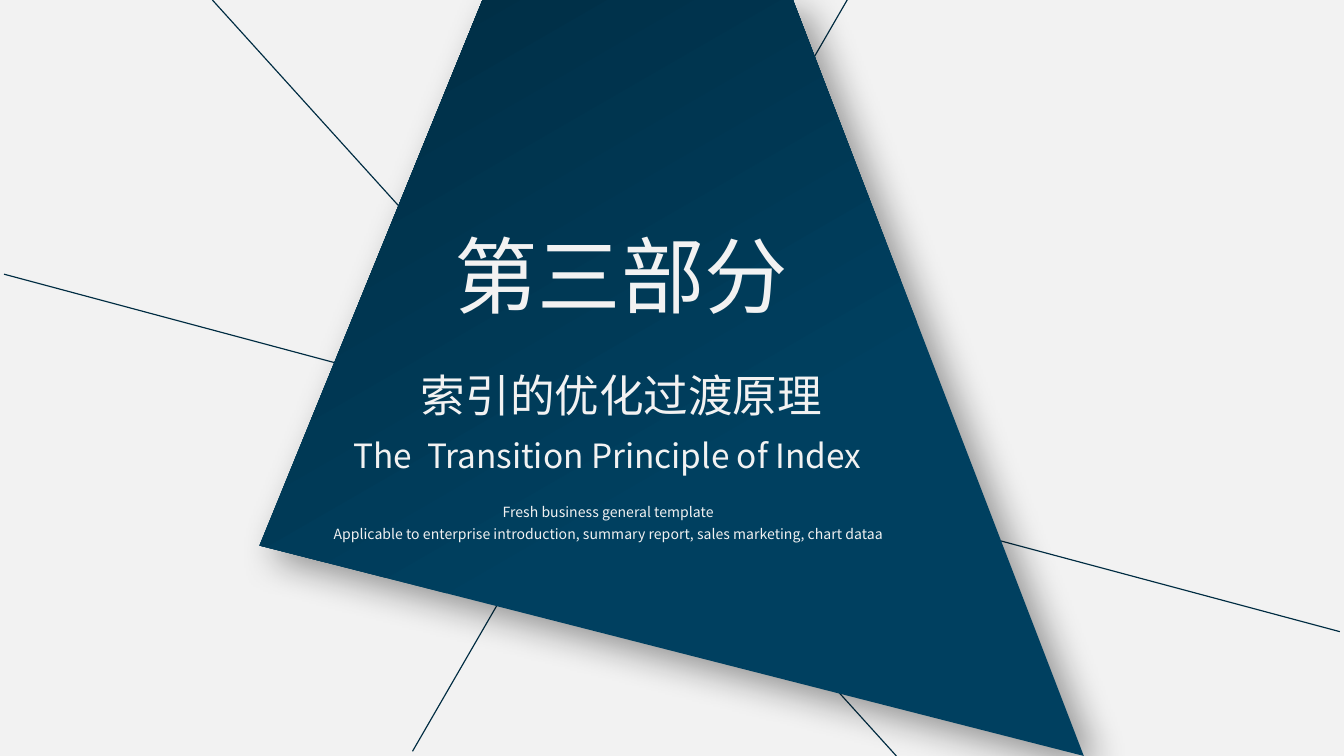
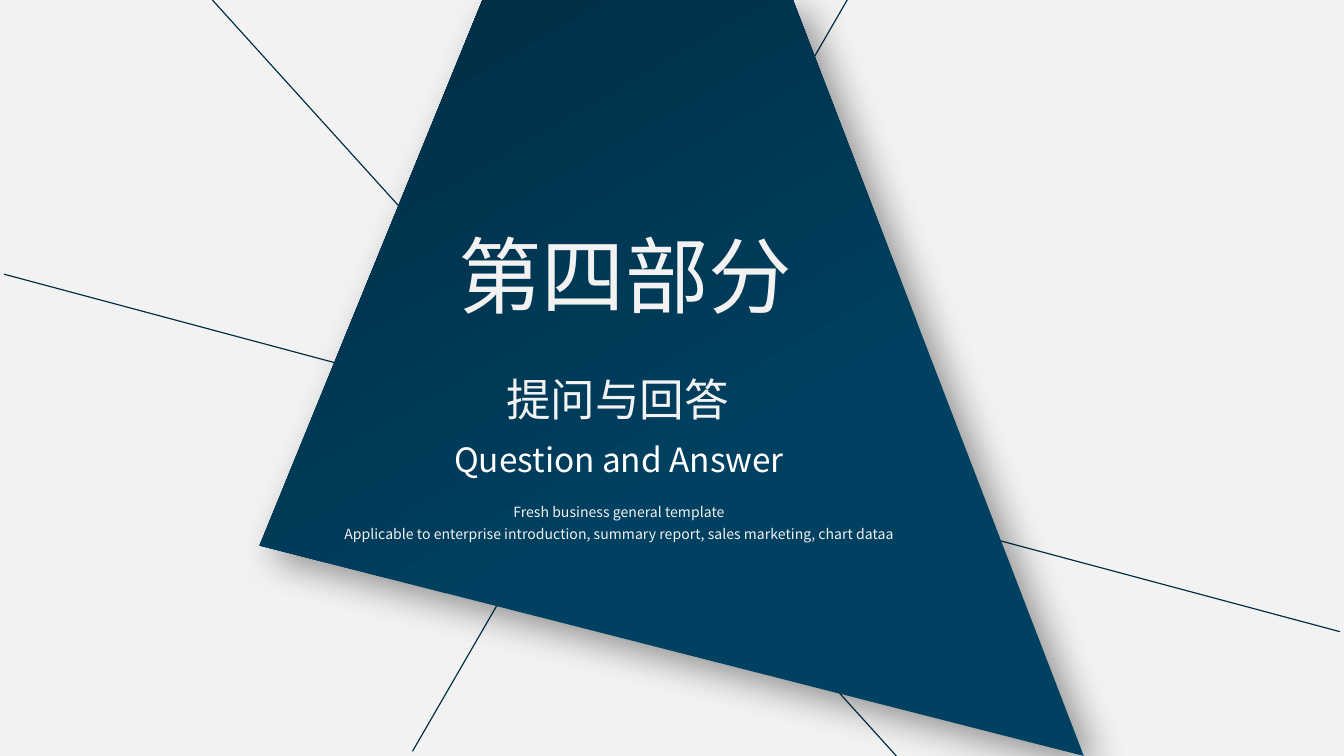
import pptx
import pptx.util
import pptx.dml.color
import pptx.enum.shapes
import pptx.enum.text
import pptx.oxml
import pptx.oxml.ns
import lxml.etree

Pt = pptx.util.Pt
PAPER = pptx.dml.color.RGBColor(0xF2, 0xF2, 0xF2)
WHITE = pptx.dml.color.RGBColor(0xFF, 0xFF, 0xFF)
NAVY = pptx.dml.color.RGBColor(0x00, 0x2C, 0x42)
BLUE = pptx.dml.color.RGBColor(0x00, 0x40, 0x60)
FONT = "Noto Sans CJK SC"
WIDTH, HEIGHT = 720, 405
CENTER = pptx.enum.text.PP_ALIGN.CENTER
LEFT = pptx.enum.text.PP_ALIGN.LEFT

RAYS = [
    ((460.1, -10.8), (221, 402.5)),
    ((480.2, HEIGHT), (113.8, 0)),
    ((2.2, 146.9), (717.8, 338.4)),
]
PANEL = [(258.5, 0), (424.8, 0), (580.6, HEIGHT), (139, 292.3)]
TAGLINE = [
    "Fresh business general template",
    "Applicable to enterprise introduction, summary report, sales marketing, chart dataa",
]
SECTIONS = [
    {
        "number": ("第三部分", (235.4, 116.6, 195.1, 61.2)),
        "tagline": (105.1, 263.5, 441.4, 31),
        "english": ("The  Transition Principle of Index", (178.6, 229.7, 293.8, 28.8), PAPER, CENTER),
        "title": ("索引的优化过渡原理", (213.8, 193.7, 238.3, 36)),
    },
    {
        "number": ("第四部分", (237.6, 116.6, 195.1, 61.2)),
        "tagline": (110.9, 263.5, 441.4, 31),
        "english": ("Question and Answer", (236.2, 231.8, 198, 28.8), WHITE, LEFT),
        "title": ("提问与回答", (226.8, 195.8, 208.1, 36)),
    },
]


def add_effects(shape, shadow=None):
    effects = shape._element.spPr.get_or_add_effectLst() if hasattr(
        shape._element.spPr, "get_or_add_effectLst") else lxml.etree.SubElement(
        shape._element.spPr, pptx.oxml.ns.qn("a:effectLst"))
    if shadow:
        blur, distance, angle, opacity = shadow
        outer = lxml.etree.SubElement(
            effects, pptx.oxml.ns.qn("a:outerShdw"),
            blurRad=str(Pt(blur)), dist=str(Pt(distance)),
            dir=str(angle * 60000), algn="tl", rotWithShape="0")
        color = lxml.etree.SubElement(outer, pptx.oxml.ns.qn("a:srgbClr"), val="000000")
        lxml.etree.SubElement(color, pptx.oxml.ns.qn("a:alpha"), val=str(opacity * 1000))


def add_ray(page, start, end):
    ray = page.shapes.add_connector(
        pptx.enum.shapes.MSO_CONNECTOR.STRAIGHT,
        *(Pt(value) for value in start + end))
    ray.line.color.rgb = NAVY
    ray.line.width = Pt(0.63)
    add_effects(ray)


def add_panel(page, corners):
    builder = page.shapes.build_freeform(
        Pt(corners[0][0]), Pt(corners[0][1]), scale=1.0)
    builder.add_line_segments([(Pt(x), Pt(y)) for x, y in corners[1:]], close=True)
    panel = builder.convert_to_shape()
    panel.line.fill.background()
    panel.fill.gradient()
    panel.fill.gradient_angle = 120
    for stop, (position, color) in zip(panel.fill.gradient_stops, [(0.39, BLUE), (1, NAVY)]):
        stop.position = position
        stop.color.rgb = color
    add_effects(panel, shadow=(20, 10, 45, 40))


def add_text(page, box, lines, size, color=PAPER, align=CENTER, wrap=True, spacing=None):
    frame = page.shapes.add_textbox(*(Pt(value) for value in box)).text_frame
    frame.word_wrap = wrap
    frame.auto_size = pptx.enum.text.MSO_AUTO_SIZE.SHAPE_TO_FIT_TEXT
    frame.text = "\n".join(lines)
    for para in frame.paragraphs:
        para.alignment = align
        para.line_spacing = spacing
        para.font.size = Pt(size)
        para.font.name = FONT
        para.font.color.rgb = color
        east_asian = lxml.etree.SubElement(
            para.font._element, pptx.oxml.ns.qn("a:ea"))
        east_asian.set("typeface", FONT)


def add_section(deck, section):
    page = deck.slides.add_slide(deck.slide_layouts[6])
    page.background.fill.solid()
    page.background.fill.fore_color.rgb = PAPER
    for start, end in RAYS:
        add_ray(page, start, end)
    add_panel(page, PANEL)
    number, box = section["number"]
    add_text(page, box, [number], 44.7, wrap=False)
    add_text(page, section["tagline"], TAGLINE, 7.5, spacing=1.3)
    english, box, color, align = section["english"]
    add_text(page, box, [english], 17.9, color, align, wrap=False)
    title, box = section["title"]
    add_text(page, box, [title], 23.9)


deck = pptx.Presentation()
deck.slide_width, deck.slide_height = Pt(WIDTH), Pt(HEIGHT)
for section in SECTIONS:
    add_section(deck, section)
deck.save("out.pptx")
